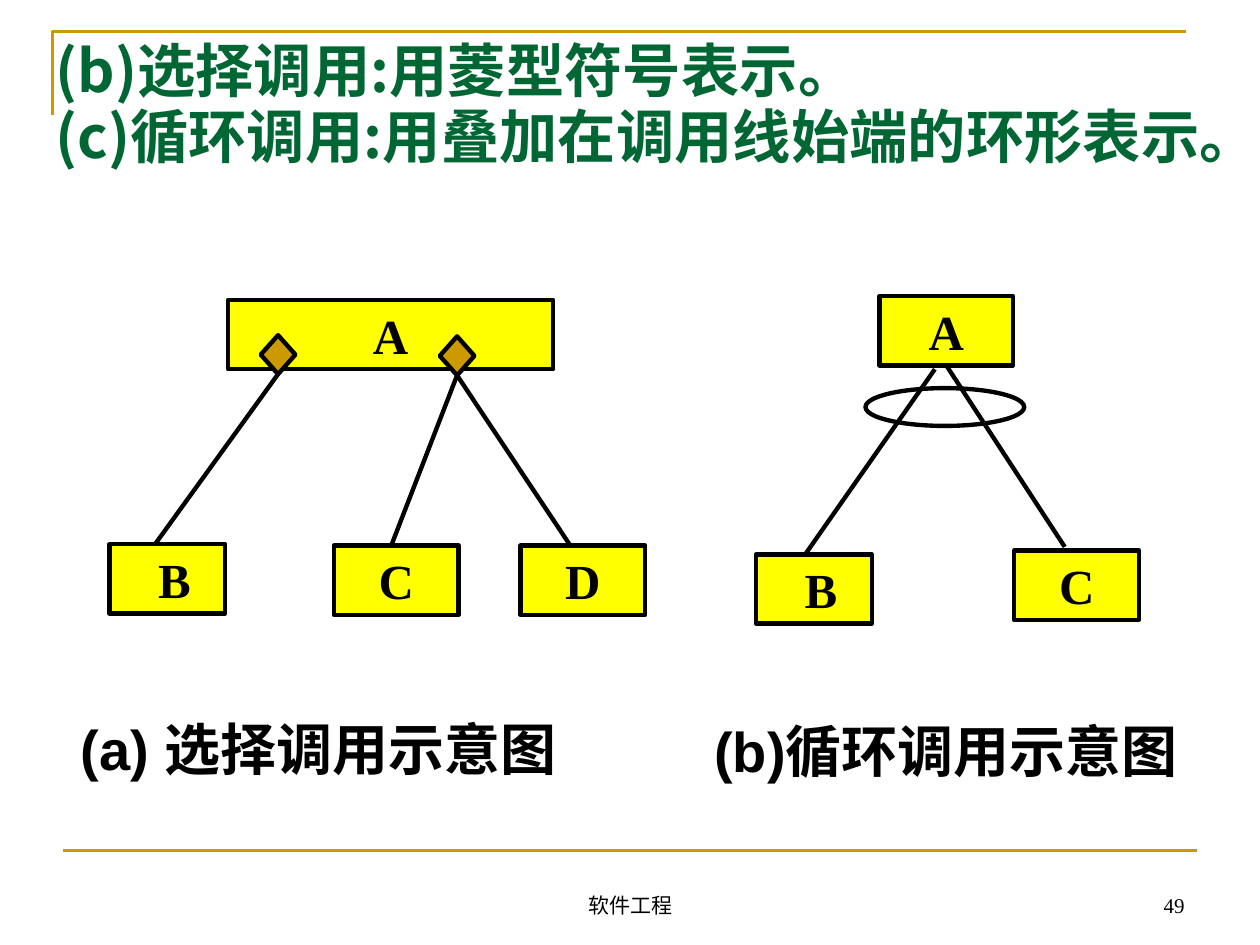
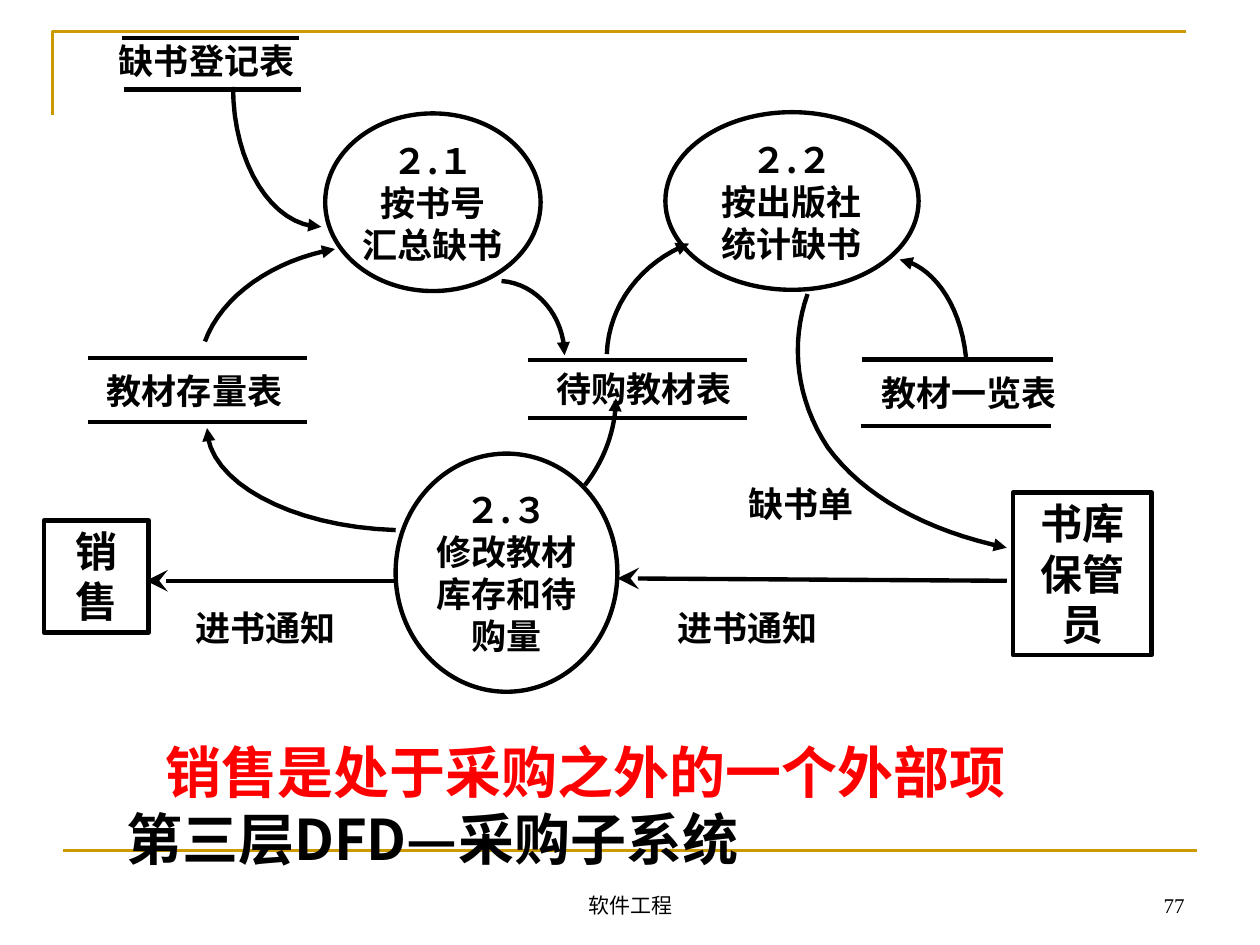
from dataclasses import dataclass

from lxml import etree
from pptx import Presentation
from pptx.dml.color import RGBColor
from pptx.enum import shapes as sh, text as tx
from pptx.oxml import ns
from pptx.util import Pt


@dataclass(frozen=True)
class Theme:
    ink: str = "000000"
    gold: str = "CC9900"
    green: str = "006633"
    red: str = "FF0000"
    paper: str = "FFFFFF"
    box: str = "FFFF00"
    cjk: str = "Noto Sans CJK SC"
    serif: str = "Times New Roman"
    sans: str = "Arial"
    head: float = 33.3
    big: float = 32
    node: float = 28
    actor: float = 24
    label: float = 20
    foot: float = 12
    thick: float = 2.5
    thin: float = 1.5


T = Theme()
LEFT, MID, RIGHT = tx.PP_ALIGN.LEFT, tx.PP_ALIGN.CENTER, tx.PP_ALIGN.RIGHT
TOP, CENTER, LOW = (tx.MSO_ANCHOR.TOP, tx.MSO_ANCHOR.MIDDLE,
                    tx.MSO_ANCHOR.BOTTOM)
RECT, OVAL, GEM = (sh.MSO_SHAPE.RECTANGLE, sh.MSO_SHAPE.OVAL,
                   sh.MSO_SHAPE.DIAMOND)

# ---- Shared content: places are left, top, width, height in points
CORNER = [(30, 66), (30, 18), (678, 18)]
RULE = (36, 486), (684, 486)
FOOT = "软件工程"

# ---- Slide 1: calls by choice and by loop
CALLS = ["(b)选择调用:用菱型符号表示。",
         "(c)循环调用:用叠加在调用线始端的环形表示。"]
NODE_H = 39.6
# key: text, left, top, width, extra left inset
NODES = {
    "A2": ("A", 502.6, 169.2, 76.3, 0),
    "B2": ("B", 432, 316.8, 66.2, 8),
    "C2": ("C", 579.6, 314.6, 71.3, 0),
    "A1": ("A", 130.3, 171.4, 185.8, 0),
    "B1": ("B", 62.6, 311, 66.2, 8),
    "C1": ("C", 190.8, 311.8, 71.3, 0),
    "D1": ("D", 297.4, 311.8, 71.3, 0),
}
GEMS = {"G1": (149, 191.5, 19.8, 22.3), "G2": (251.3, 192.2, 19.8, 22.3)}
# start is a point, or the key of the part whose bottom it leaves
LINKS = [
    ("G1", (88.6, 311)), ("G2", (223.9, 311)), ("G2", (325.4, 311)),
    ((534.2, 211), (460.1, 316.8)), ("A2", (608.4, 312.5)),
]
LOOP = (494.6, 221.8, 90.7, 21.6)
CAPTIONS = [("(a) 选择调用示意图", (22.3, 405.4, 319.7, 44.6)),
            ("(b)循环调用示意图", (391, 406.8, 299.5, 44.6))]

# ---- Slide 2: data flow diagram
DFD = ["销售是处于采购之外的一个外部项", "第三层DFD—采购子系统"]
# left, right, y
BARS = [
    (69.8, 171, 21.6), (70.6, 172.1, 51.1),
    (50.4, 175.7, 204.5), (50.4, 175.7, 241.2),
    (301.7, 427, 205.9), (301.7, 427, 238.7),
    (492.5, 601.9, 205.5), (491.8, 600.5, 243.4),
]
STEPS = [
    (["２.３", "修改教材库存和待购量"], (226.1, 259.2, 126.7, 136.1)),
    (["２.１", "按书号", "汇总缺书"], (185.8, 64.8, 123.1, 101.5)),
    (["２.２", "按出版社", "统计缺书"], (380.2, 64.1, 144.7, 101.5)),
]
NOTICES = [((226.1, 331.9), (83.5, 331.9)), ((575.3, 331.9), (352.8, 330.5))]
# start, then two controls and an end for each curve; the tip is last
FLOWS = [
    [(133.2, 49.7), (133.2, 93.6), (155.5, 129.6), (183.6, 129.6)],
    [(117.1, 195.1), (126.7, 169.1), (155.9, 148.6), (191.4, 142.3)],
    [(286.6, 160.6), (306.7, 162), (322.6, 180.7), (322.6, 203)],
    [(346.8, 202.3), (347.8, 174.2), (366.5, 149.8), (393.8, 139.2)],
    [(552, 204), (548.6, 171.4), (531, 151), (514.1, 148.3)],
    [(461.5, 168), (451.4, 196.6), (455, 228.2), (473, 255.6),
     (493.2, 283.3), (529.2, 303.4), (575.3, 313)],
    [(226.1, 302.9), (165.6, 301), (118.3, 275), (118.3, 244.6)],
    [(334.3, 277.2), (345.6, 262.8), (352, 244.8), (352, 227.5)],
]
# text, centre, top
LABELS = [
    ("缺书登记表", 118.1, 22.3), ("教材存量表", 111.2, 211),
    ("待购教材表", 367.9, 210.2), ("教材一览表", 553.7, 212.4),
    ("进书通知", 151.9, 346.3), ("进书通知", 427, 346.3),
    ("缺书单", 457.9, 275.8),
]
LABEL_W, LABEL_H = 124, 24
ACTORS = [("书库保管员", (578.9, 281.5, 79.2, 92.9)),
          ("销售", (25.2, 297.4, 59.8, 64.1))]


# ---- Helpers
def rgb(hue):
    return RGBColor.from_string(hue)


def pts(vals):
    return [Pt(v) for v in vals]


def write(shape, lines, size, face=T.cjk, hues=(T.ink,), bold=True,
          align=MID, anchor=TOP, pad=(5.8, 2.9), shift=0, lead=None):
    frame = shape.text_frame
    frame.text = "\n".join(lines)
    frame.word_wrap = True
    frame.auto_size = tx.MSO_AUTO_SIZE.NONE
    frame.vertical_anchor = anchor
    frame.margin_left, frame.margin_right = Pt(pad[0] + shift), Pt(pad[0])
    frame.margin_top = frame.margin_bottom = Pt(pad[1])
    for i, para in enumerate(frame.paragraphs):
        para.alignment = align
        if lead:
            para.line_spacing = lead
        for run in para.runs:
            font = run.font
            font.size, font.bold, font.name = Pt(size), bold, face
            font.color.rgb = rgb(hues[i % len(hues)])
            east = etree.SubElement(run._r.get_or_add_rPr(), ns.qn("a:ea"))
            east.set("typeface", T.cjk)


def label(slide, place, lines, size, **look):
    write(slide.shapes.add_textbox(*pts(place)), lines, size, **look)


def style(shape, fill=None, hue=T.ink, width=T.thick):
    shape.shadow.inherit = False
    if fill:
        shape.fill.solid()
        shape.fill.fore_color.rgb = rgb(fill)
    else:
        shape.fill.background()
    shape.line.color.rgb = rgb(hue)
    shape.line.width = Pt(width)
    return shape


def draw(slide, kind, place, fill=None):
    return style(slide.shapes.add_shape(kind, *pts(place)), fill)


def tip(shape, kind, size):
    end = etree.SubElement(shape.line._get_or_add_ln(), ns.qn("a:tailEnd"))
    for key, val in (("type", kind), ("w", size), ("len", size)):
        end.set(key, val)


def link(slide, start, end, hue=T.ink, width=T.thick):
    line = slide.shapes.add_connector(sh.MSO_CONNECTOR.STRAIGHT,
                                      *pts(start + end))
    line.line.color.rgb = rgb(hue)
    line.line.width = Pt(width)
    etree.SubElement(line._element.spPr, ns.qn("a:effectLst"))
    return line


def trace(slide, dots, hue=T.ink, width=T.thick):
    dots = [pts(d) for d in dots]
    pen = slide.shapes.build_freeform(*dots[0])
    pen.add_line_segments(dots[1:], close=False)
    return style(pen.convert_to_shape(), None, hue, width)


def bend(knots, steps=16):
    """Points along a chain of cubic curves."""
    dots = [knots[0]]
    for k in range(0, len(knots) - 1, 3):
        for n in range(1, steps + 1):
            t = n / steps
            w = ((1 - t) ** 3, 3 * t * (1 - t) ** 2,
                 3 * t * t * (1 - t), t ** 3)
            dots.append(tuple(sum(a * p[i] for a, p in zip(w, knots[k:k + 4]))
                              for i in (0, 1)))
    return dots


def start(deck, number, place, lines, size, **look):
    """New slide with frame, footer and heading."""
    slide = deck.slides.add_slide(deck.slide_layouts[5])
    trace(slide, CORNER, T.gold, T.thin)
    link(slide, *RULE, T.gold, T.thin)
    foot = dict(face=T.serif, bold=False, anchor=LOW, pad=(7.2, 3.6))
    label(slide, (246.2, 491.8, 228.2, 36), [FOOT], T.foot, **foot)
    label(slide, (516.2, 491.8, 167.8, 36), [number], T.foot,
          align=RIGHT, **foot)
    head = slide.shapes.title
    head.left, head.top, head.width, head.height = pts(place)
    write(head, lines, size, align=LEFT, pad=(7.2, 3.6), **look)
    slide.shapes._spTree.append(head._element)  # text above the rule
    return slide


# ---- Slides
def calls(deck):
    slide = start(deck, "49", (24.5, 18.7, 676.8, 127.4), CALLS, T.head,
                  hues=(T.green,), lead=0.95)
    parts = {}
    for key, (name, x, y, w, shift) in NODES.items():
        parts[key] = draw(slide, RECT, (x, y, w, NODE_H), T.box)
        write(parts[key], [name], T.node, T.serif, shift=shift)
    for key, place in GEMS.items():
        parts[key] = draw(slide, GEM, place, T.gold)
    for root, end in LINKS:
        if root in parts:
            link(slide, (0, 0), end).begin_connect(parts[root], 2)
        else:
            link(slide, root, end)
    draw(slide, OVAL, LOOP)
    for name, place in CAPTIONS:
        label(slide, place, [name], T.big, face=T.sans)


def flows(deck):
    slide = start(deck, "77", (64.8, 417.6, 581.8, 84.2), DFD, T.big,
                  hues=(T.red, T.ink), anchor=CENTER)
    first = slide.shapes.title.text_frame.paragraphs[0]
    first._p.get_or_add_pPr().set("indent", str(Pt(22.3)))
    for x, end, y in BARS:
        link(slide, (x, y), (end, y))
    for lines, place in STEPS:
        write(draw(slide, OVAL, place, T.paper), lines, T.label, pad=(0, 0))
    for ends in NOTICES:
        tip(link(slide, *ends), "stealth", "lg")
    for knots in FLOWS:
        tip(trace(slide, bend(knots)), "triangle", "med")
    for name, mid, y in LABELS:
        label(slide, (mid - LABEL_W / 2, y, LABEL_W, LABEL_H), [name],
              T.label, pad=(0, 0))
    for name, place in ACTORS:
        write(draw(slide, RECT, place), [name], T.actor, pad=(6.5, 2.9))


def main():
    deck = Presentation()
    deck.slide_width, deck.slide_height = Pt(720), Pt(540)
    calls(deck)
    flows(deck)
    deck.save("out.pptx")


if __name__ == "__main__":
    main()
